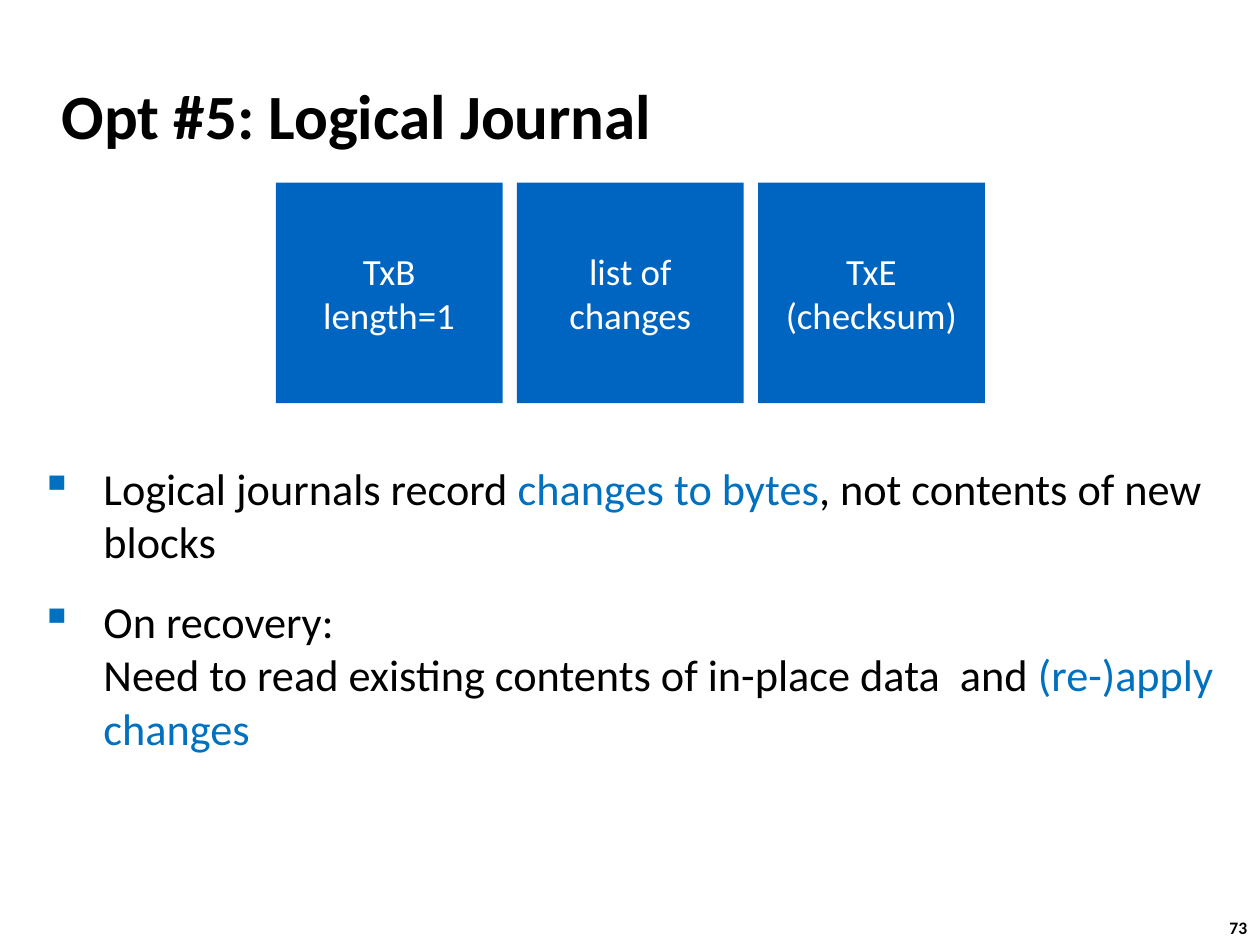
"""Build the slide on logical journals."""
from dataclasses import dataclass

from lxml import etree
from pptx import Presentation
from pptx.dml.color import RGBColor
from pptx.enum import shapes, text
from pptx.oxml import ns
from pptx.util import Pt

FONT = "Calibri"
BLACK = RGBColor(0x00, 0x00, 0x00)
WHITE = RGBColor(0xFF, 0xFF, 0xFF)
BLOCK_BLUE = RGBColor(0x00, 0x65, 0xC1)
ACCENT = RGBColor(0x00, 0x70, 0xC0)

BLOCK_LEFT, BLOCK_TOP = 157.6, 104.4
BLOCK_WIDTH, BLOCK_HEIGHT, BLOCK_PITCH = 129.6, 126, 137.8


@dataclass(frozen=True)
class Span:
    words: str
    color: RGBColor = BLACK


BLOCKS = (
    ("TxB", "length=1"),
    ("list of", "changes"),
    ("TxE", "(checksum)"),
)

BULLETS = (
    (
        Span("Logical journals record "),
        Span("changes to bytes", ACCENT),
        Span(", not contents of new blocks"),
    ),
    (
        Span("On recovery:\nNeed to read existing contents of in-place data  and "),
        Span("(re-)apply changes", ACCENT),
    ),
)


def add_text(p, words: str, *, size: float, color: RGBColor = BLACK, bold: bool = False) -> None:
    for i, line in enumerate(words.split("\n")):
        if i:
            p.add_line_break()
        r = p.add_run()
        r.text = line
        r.font.name = FONT
        r.font.size = Pt(size)
        r.font.bold = bold
        r.font.color.rgb = color


def set_frame(tf, *, inset: float, wrap: bool = True,
              anchor: text.MSO_ANCHOR = text.MSO_ANCHOR.MIDDLE) -> None:
    tf.word_wrap = wrap
    tf.auto_size = text.MSO_AUTO_SIZE.NONE
    tf.vertical_anchor = anchor
    tf.margin_left = tf.margin_right = Pt(inset)
    tf.margin_top = tf.margin_bottom = Pt(inset)


def paragraph(tf, index: int):
    return tf.add_paragraph() if index else tf.paragraphs[0]


def add_bullet(p, *, indent: float, color: RGBColor) -> None:
    pPr = p._p.get_or_add_pPr()
    pPr.set("marL", str(Pt(indent)))
    pPr.set("indent", str(Pt(-indent)))
    buClr = etree.SubElement(pPr, ns.qn("a:buClr"))
    etree.SubElement(buClr, ns.qn("a:srgbClr"), val=str(color))
    etree.SubElement(pPr, ns.qn("a:buChar"), char="▪")


def add_title(s, words: str) -> None:
    sp = s.shapes.title
    sp.left, sp.top, sp.width, sp.height = Pt(28), Pt(35.3), Pt(597.6), Pt(59.8)
    set_frame(sp.text_frame, inset=7.2)
    p = sp.text_frame.paragraphs[0]
    p.alignment = text.PP_ALIGN.LEFT
    add_text(p, words, size=36, bold=True)


def add_block(s, column: int, lines: tuple[str, ...]) -> None:
    sp = s.shapes.add_shape(
        shapes.MSO_SHAPE.RECTANGLE, Pt(BLOCK_LEFT + column * BLOCK_PITCH),
        Pt(BLOCK_TOP), Pt(BLOCK_WIDTH), Pt(BLOCK_HEIGHT))
    sp.shadow.inherit = False
    sp.fill.solid()
    sp.fill.fore_color.rgb = BLOCK_BLUE
    sp.line.fill.background()
    set_frame(sp.text_frame, inset=0)
    for i, line in enumerate(lines):
        p = paragraph(sp.text_frame, i)
        p.alignment = text.PP_ALIGN.CENTER
        add_text(p, line, size=21.1, color=WHITE)


def add_bullets(s, bullets: tuple[tuple[Span, ...], ...]) -> None:
    tf = s.shapes.add_textbox(Pt(20.2), Pt(260), Pt(692.6), Pt(174.2)).text_frame
    set_frame(tf, inset=2.9)
    for i, spans in enumerate(bullets):
        p = paragraph(tf, i)
        if i:
            p.space_before = Pt(15.5)
        add_bullet(p, indent=36, color=ACCENT)
        for span in spans:
            add_text(p, span.words, size=25.3, color=span.color)


def add_page_number(s, number: str) -> None:
    tf = s.shapes.add_textbox(Pt(695.5), Pt(520.6), Pt(26.6), Pt(19.4)).text_frame
    set_frame(tf, inset=3.6, wrap=False, anchor=text.MSO_ANCHOR.TOP)
    tf.margin_left = tf.margin_right = Pt(7.2)
    add_text(tf.paragraphs[0], number, size=10, bold=True)


def main() -> None:
    prs = Presentation()
    prs.slide_width, prs.slide_height = Pt(720), Pt(540)
    s = prs.slides.add_slide(prs.slide_layouts[5])
    add_page_number(s, "73")
    add_title(s, "Opt #5: Logical Journal")
    for column, lines in enumerate(BLOCKS):
        add_block(s, column, lines)
    add_bullets(s, BULLETS)
    prs.save("out.pptx")


if __name__ == "__main__":
    main()
